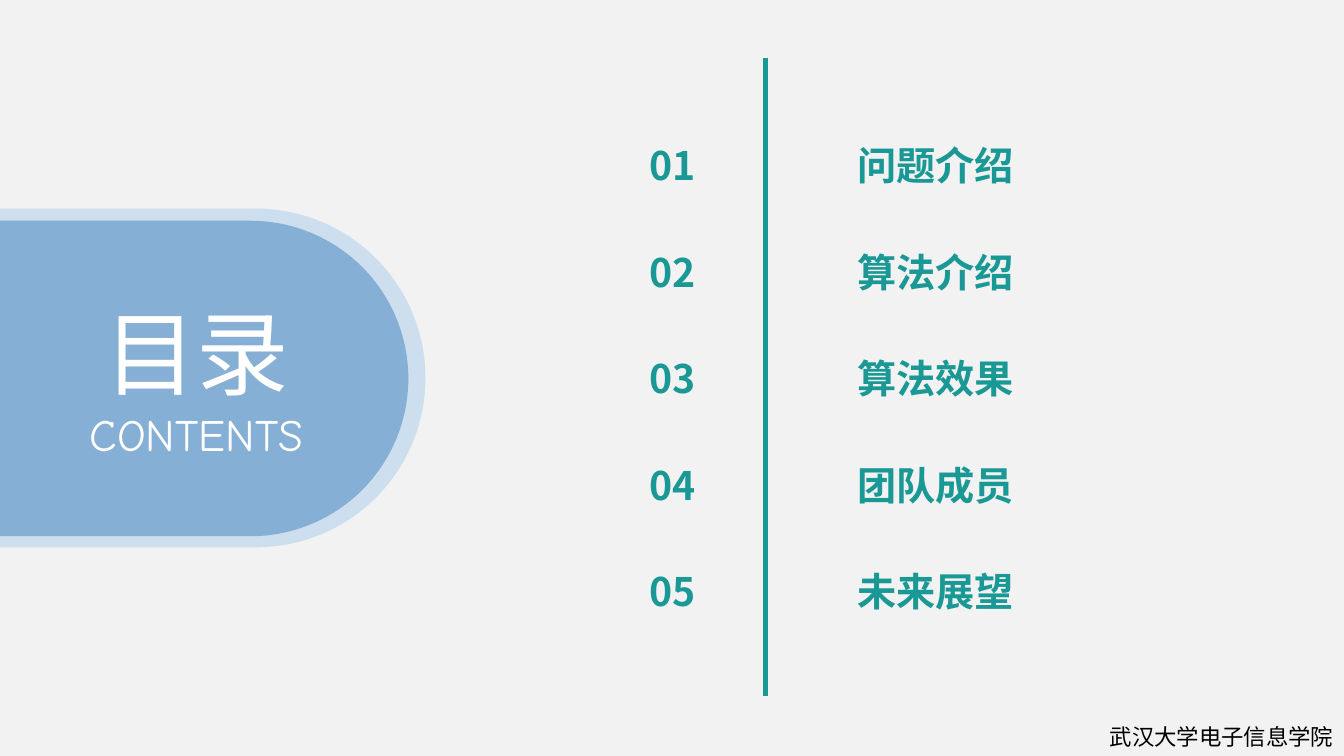
from dataclasses import dataclass

from lxml.etree import SubElement
from pptx import Presentation
from pptx.dml.color import RGBColor
from pptx.enum.shapes import MSO_SHAPE
from pptx.enum.text import MSO_ANCHOR, MSO_AUTO_SIZE, PP_ALIGN
from pptx.oxml.ns import qn
from pptx.util import Inches, Pt


@dataclass(frozen=True)
class Theme:
    background: str = "F2F2F2"
    accent: str = "1A9895"
    halo: str = "BDD7EE"
    panel: str = "2E75B6"
    light: str = "FFFFFF"
    dark: str = "000000"
    body_font: str = "Noto Sans CJK SC"
    title_font: str = "Noto Sans CJK JP"
    subtitle_font: str = "Comic Neue"
    title_size: int = 66
    subtitle_size: int = 32
    entry_size: int = 28
    footer_size: int = 16


THEME = Theme()
ENTRIES = ["问题介绍", "算法介绍", "算法效果", "团队成员", "未来展望"]
FIRST_ROW_TOP = 1.32
ROW_STEP = 1.0575


def add_block(slide, preset, left, top, width, height, color, opacity=100):
    block = slide.shapes.add_shape(
        preset, Inches(left), Inches(top), Inches(width), Inches(height)
    )
    block.shadow.inherit = False
    block.line.fill.background()
    block.fill.solid()
    block.fill.fore_color.rgb = RGBColor.from_string(color)
    if opacity < 100:
        color_node = block.fill._xPr.find(qn("a:solidFill"))[0]
        SubElement(color_node, qn("a:alpha"), val=str(opacity * 1000))
    return block


def add_pill(slide, left, top, width, height, color, opacity=100):
    pill = add_block(
        slide, MSO_SHAPE.ROUNDED_RECTANGLE, left, top, width, height, color, opacity
    )
    pill.adjustments[0] = 0.5
    pill.text_frame.vertical_anchor = MSO_ANCHOR.MIDDLE
    return pill


def write(paragraph, text, size, font, color, bold=False):
    paragraph.alignment = PP_ALIGN.CENTER
    run = paragraph.add_run()
    run.text = text
    run.font.size = Pt(size)
    run.font.bold = bold
    run.font.color.rgb = RGBColor.from_string(color)
    run.font.name = font
    SubElement(run.font._element, qn("a:ea"), typeface=font)


def add_footer(slide, text):
    footer = slide.shapes.add_textbox(
        Inches(10.89), Inches(7.13), Inches(2.45), Inches(0.37)
    )
    frame = footer.text_frame
    frame.word_wrap = True
    frame.auto_size = MSO_AUTO_SIZE.SHAPE_TO_FIT_TEXT
    write(frame.paragraphs[0], text, THEME.footer_size, THEME.body_font, THEME.dark)


def add_title_panel(slide, title, subtitle):
    add_pill(slide, -1.96, 2.07, 6.18, 3.36, THEME.halo, 69)
    panel = add_pill(slide, -1.7, 2.19, 5.75, 3.13, THEME.panel, 45)
    frame = panel.text_frame
    frame.margin_left = Inches(1.65)
    write(frame.paragraphs[0], title, THEME.title_size, THEME.title_font, THEME.light)
    write(
        frame.add_paragraph(),
        subtitle,
        THEME.subtitle_size,
        THEME.subtitle_font,
        THEME.light,
    )


def add_entry_cell(slide, text, left, top, width):
    cell = add_pill(slide, left, top, width, 0.63, THEME.background)
    write(
        cell.text_frame.paragraphs[0],
        text,
        THEME.entry_size,
        THEME.body_font,
        THEME.accent,
        bold=True,
    )


def add_entries(slide, entries):
    for row, entry in enumerate(entries):
        top = FIRST_ROW_TOP + row * ROW_STEP
        add_entry_cell(slide, f"{row + 1:02}", 6.17, top, 1)
        add_entry_cell(slide, entry, 7.38, top, 3.8)


def main():
    presentation = Presentation()
    presentation.slide_width = Inches(13.33)
    presentation.slide_height = Inches(7.5)
    slide = presentation.slides.add_slide(presentation.slide_layouts[6])
    slide.background.fill.solid()
    slide.background.fill.fore_color.rgb = RGBColor.from_string(THEME.background)

    add_footer(slide, "武汉大学电子信息学院")
    add_title_panel(slide, "目录", "CONTENTS")
    add_entries(slide, ENTRIES)
    add_block(
        slide, MSO_SHAPE.FLOWCHART_PROCESS, 7.57, 0.58, 0.05, 6.33, THEME.accent
    )
    presentation.save("out.pptx")


if __name__ == "__main__":
    main()
